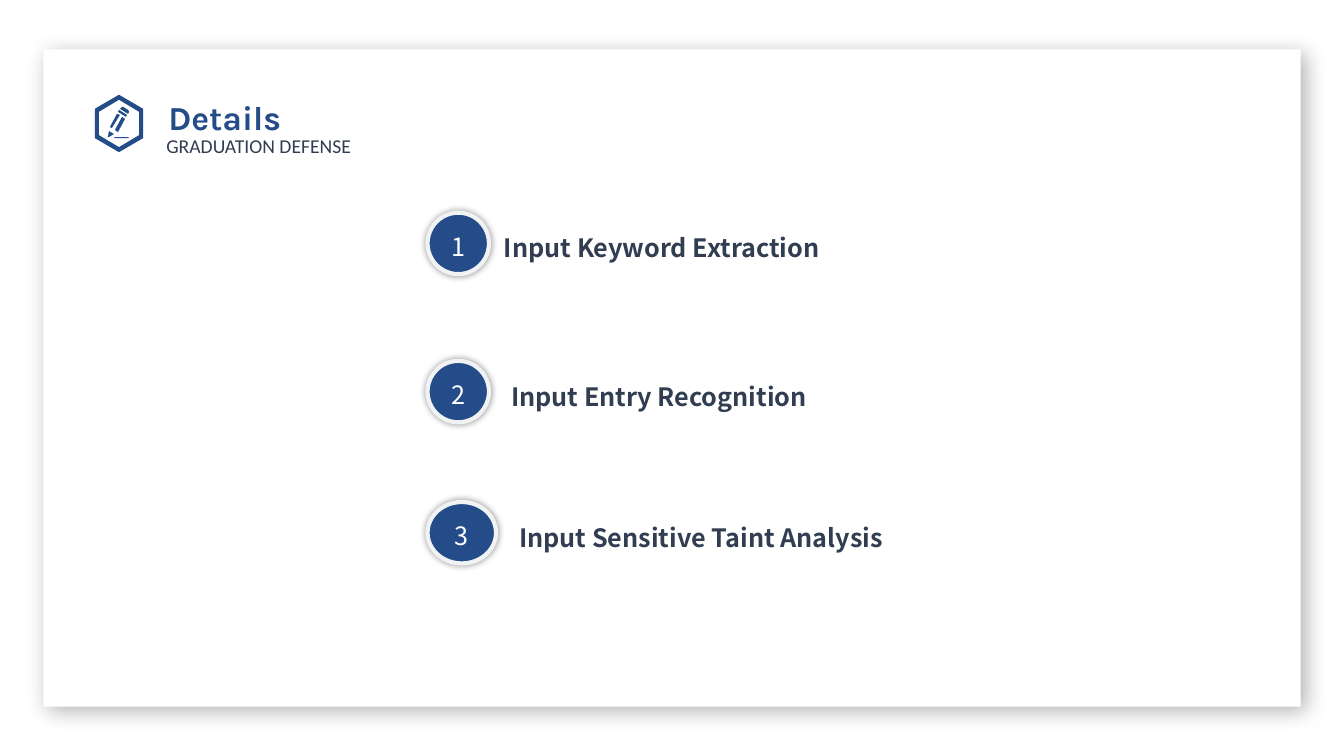
import pptx
import pptx.dml.color
import pptx.enum.shapes
import pptx.enum.text
import pptx.oxml
import pptx.oxml.ns
import pptx.util

PX = 9144
COLORS = {"navy": "244C89", "ink": "313D51", "white": "FFFFFF", "ring": "F0F2F4", "shadow": "000000"}
SHAPE = pptx.enum.shapes.MSO_SHAPE
ANCHOR = pptx.enum.text.MSO_ANCHOR
ALIGN = pptx.enum.text.PP_ALIGN
FIT = pptx.enum.text.MSO_AUTO_SIZE

TITLE = {"name": "Karla", "size": pptx.util.Pt(24), "bold": True}
CAPTION = {"name": "Calibri", "size": pptx.util.Pt(14)}
NUMBER = {"name": "Noto Sans CJK SC", "size": pptx.util.Pt(18)}
LABEL = {**NUMBER, "bold": True}
INSETS = {"margin_left": 10 * PX, "margin_top": 5 * PX, "margin_right": 10 * PX, "margin_bottom": 5 * PX}

ICON = [
    [(118, 94), (142, 108), (142, 137), (118, 151), (94, 137), (94, 108)],
    [(118, 99), (138, 111), (138, 134), (118, 146), (98, 134), (98, 111)],
    [(114, 136), (127, 136), (128, 137), (114, 137), (113, 137)],
    [(114, 129), (121, 116), (124, 118), (117, 131)],
    [(109, 126), (116, 113), (119, 114), (111, 127)],
    [(107, 136), (108, 130), (113, 133), (108, 136)],
    [(118, 109), (117, 111), (125, 116), (126, 114)],
    [(120, 107), (121, 106), (122, 106), (127, 109), (128, 111), (127, 113), (119, 108)],
]
STEPS = [
    ("Input Keyword Extraction", 211, 61, 490, 419),
    ("Input Entry Recognition", 358, 61, 497, 419),
    ("Input Sensitive Taint Analysis", 498, 68, 505, 447),
]


class Deck:
    def __init__(self, width, height):
        self.prs = pptx.Presentation()
        self.prs.slide_width = width * PX
        self.prs.slide_height = height * PX
        self.s = self.prs.slides.add_slide(self.prs.slide_layouts[5])

    def rgb(self, color):
        return pptx.dml.color.RGBColor.from_string(COLORS[color])

    def paint(self, sp, fill, line=None, width=0):
        sp.shadow.inherit = False
        sp.fill.solid()
        sp.fill.fore_color.rgb = self.rgb(fill)
        if line:
            sp.line.color.rgb = self.rgb(line)
            sp.line.width = pptx.util.Pt(width)
        else:
            sp.line.fill.background()

    def shadow(self, sp, alpha, blur, dist=0, angle=0):
        effects = sp._element.spPr.find(pptx.oxml.ns.qn("a:effectLst"))
        effects.append(pptx.oxml.parse_xml(
            f'<a:outerShdw {pptx.oxml.ns.nsdecls("a")} blurRad="{blur * 12700}" dist="{dist * 12700}" '
            f'dir="{angle * 60000}" algn="ctr" rotWithShape="0"><a:srgbClr val="{COLORS["shadow"]}">'
            f'<a:alpha val="{alpha * 1000}"/></a:srgbClr></a:outerShdw>'))

    def set_text(self, sp, text, font, color, frame=None, align=ALIGN.LEFT, spacing=1.2):
        tf = sp.text_frame
        base = {"word_wrap": True, "vertical_anchor": ANCHOR.TOP, "auto_size": FIT.NONE}
        for key, value in {**base, **INSETS, **(frame or {})}.items():
            setattr(tf, key, value)
        p = tf.paragraphs[0]
        p.alignment = align
        p.line_spacing = spacing
        r = p.add_run()
        r.text = text
        for key, value in font.items():
            setattr(r.font, key, value)
        r.font.color.rgb = self.rgb(color)

    def panel(self, *box):
        sp = self.s.shapes.add_shape(SHAPE.RECTANGLE, *[v * PX for v in box])
        self.paint(sp, "white")
        self.shadow(sp, 30, 15, 5, 45)
        self.s.shapes._spTree.insert(2, sp._element)

    def icon(self, contours):
        first, *others = contours
        fb = self.s.shapes.build_freeform(*first[0], scale=PX)
        fb.add_line_segments(first[1:], close=True)
        for points in others:
            fb.move_to(*points[0])
            fb.add_line_segments(points[1:], close=True)
        self.paint(fb.convert_to_shape(), "navy")

    def title(self, text, *box):
        sp = self.s.shapes.title
        for key, value in zip(("left", "top", "width", "height"), box):
            setattr(sp, key, value * PX)
        self.set_text(sp, text, TITLE, "navy")

    def text(self, shapes, text, font, box, frame=None, spacing=1.2):
        sp = shapes.add_textbox(*[v * PX for v in box])
        frame = {"auto_size": FIT.SHAPE_TO_FIT_TEXT, **(frame or {})}
        self.set_text(sp, text, font, "ink", frame, spacing=spacing)

    def step(self, number, text, top, badge_width, label_left, label_width):
        shapes = self.s.shapes.add_group_shape().shapes
        sp = shapes.add_shape(SHAPE.OVAL, *[v * PX for v in (424, top, badge_width, 61)])
        self.paint(sp, "navy", "ring", 3)
        self.shadow(sp, 40, 5)
        self.set_text(sp, str(number), NUMBER, "white", {"vertical_anchor": ANCHOR.MIDDLE}, ALIGN.CENTER)
        self.text(shapes, text, LABEL, (label_left, top + 9, label_width, 43))


def main():
    deck = Deck(1333, 750)
    deck.panel(43, 49, 1247, 652)
    deck.icon(ICON)
    deck.text(deck.s.shapes, "GRADUATION DEFENSE", CAPTION, (165, 124, 217, 34),
              {"margin_left": 0, "margin_top": 0, "margin_right": 0}, pptx.util.Pt(23))
    deck.title("Details", 157, 83, 440, 50)
    for number, step in enumerate(STEPS, 1):
        deck.step(number, *step)
    deck.prs.save("out.pptx")


if __name__ == "__main__":
    main()
